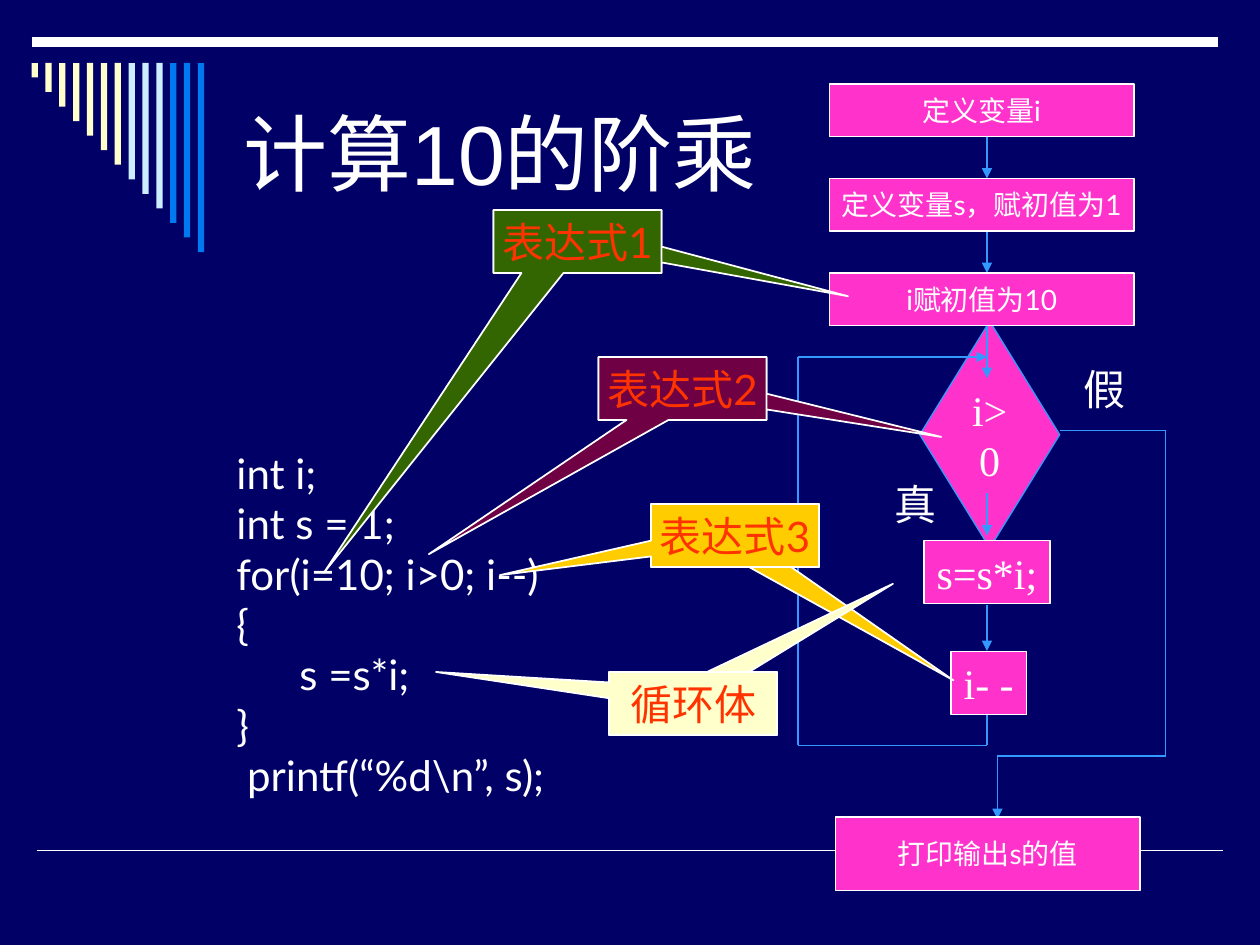
"""Build the slide that explains the factorial loop with a flowchart."""
from dataclasses import dataclass

from lxml import etree
from pptx import Presentation
from pptx.dml.color import RGBColor
from pptx.enum.shapes import MSO_CONNECTOR, MSO_SHAPE
from pptx.enum.text import MSO_ANCHOR, PP_ALIGN
from pptx.oxml.ns import qn
from pptx.util import Pt

STRAIGHT = MSO_CONNECTOR.STRAIGHT
RECTANGLE = MSO_SHAPE.RECTANGLE
PROCESS = MSO_SHAPE.FLOWCHART_PROCESS
DECISION = MSO_SHAPE.FLOWCHART_DECISION
CALLOUT = MSO_SHAPE.RECTANGULAR_CALLOUT
TOP, MIDDLE = MSO_ANCHOR.TOP, MSO_ANCHOR.MIDDLE
LEFT, CENTER = PP_ALIGN.LEFT, PP_ALIGN.CENTER


@dataclass(frozen=True)
class Theme:
    background: str = "000066"
    white: str = "FFFFFF"
    pink: str = "FF33CC"
    flow: str = "3399FF"
    callout_text: str = "FF3300"
    green: str = "336600"
    plum: str = "6E0043"
    gold: str = "FFCC00"
    cream: str = "FFFFCC"
    pale_blue: str = "CCECFF"
    blue: str = "0078F0"
    title_font: str = "Arial"
    body_font: str = "Lato"
    serif_font: str = "Times New Roman"
    title_size: float = 48
    body_size: float = 24
    step_size: float = 16


THEME = Theme()


@dataclass(frozen=True)
class Box:
    left: float
    top: float
    width: float
    height: float


@dataclass(frozen=True)
class TextStyle:
    font: str
    size: float
    color: str = THEME.white
    align: PP_ALIGN = CENTER
    anchor: MSO_ANCHOR = MIDDLE
    wrap: bool = False


@dataclass(frozen=True)
class Node:
    text: str
    box: Box
    style: TextStyle
    kind: MSO_SHAPE = PROCESS
    line: str = THEME.white
    line_width: float = 1


@dataclass(frozen=True)
class Line:
    start: tuple[float, float]
    end: tuple[float, float]
    arrow: bool = False
    color: str = THEME.flow
    width: float = 0.75


@dataclass(frozen=True)
class Callout:
    text: str
    left: float
    top: float
    fill: str
    pointers: tuple[tuple[float, float], ...]


TITLE = TextStyle(THEME.title_font, THEME.title_size, align=LEFT, wrap=True)
CODE = TextStyle(THEME.body_font, THEME.body_size, align=LEFT, anchor=TOP)
STEP = TextStyle(THEME.body_font, THEME.step_size)
SERIF = TextStyle(THEME.serif_font, THEME.body_size)
SERIF_WRAPPED = TextStyle(THEME.serif_font, THEME.body_size, wrap=True)
CALLOUT_TEXT = TextStyle(THEME.body_font, THEME.body_size, THEME.callout_text)

STRIPE_COLORS = [THEME.cream] * 7 + [THEME.pale_blue] * 3 + [THEME.blue] * 3
STRIPE_LEFT, STRIPE_TOP, STRIPE_PITCH = 18, 36, 7.92
STRIPE_WIDTH, STRIPE_STEP = 3.6, 8.31

RULES = [
    Line((21, 486), (699, 486), color=THEME.white, width=1),
    Line((18, 24), (696, 24), color=THEME.white, width=6),
]

AXIS, LOOP_LEFT, EXIT_LEFT, EXIT_RIGHT = 564, 456, 570, 666
LOOP_TOP, LOOP_BOTTOM, EXIT_TOP, EXIT_BOTTOM = 204, 426, 246, 432
FLOW_LINES = [
    Line((AXIS, 78), (AXIS, 102), True),
    Line((AXIS, 132), (AXIS, 156), True),
    Line((AXIS, 168), (AXIS, 216), True),
    Line((AXIS, 282), (AXIS, 306), True),
    Line((AXIS, 345.6), (AXIS, 372), True),
    Line((AXIS, 408), (AXIS, LOOP_BOTTOM)),
    Line((LOOP_LEFT, LOOP_BOTTOM), (AXIS, LOOP_BOTTOM)),
    Line((LOOP_LEFT, LOOP_TOP), (LOOP_LEFT, LOOP_BOTTOM)),
    Line((LOOP_LEFT, LOOP_TOP), (AXIS, LOOP_TOP), True),
    Line((606, EXIT_TOP), (EXIT_RIGHT, EXIT_TOP)),
    Line((EXIT_RIGHT, EXIT_TOP), (EXIT_RIGHT, EXIT_BOTTOM)),
    Line((EXIT_LEFT, EXIT_BOTTOM), (EXIT_RIGHT, EXIT_BOTTOM)),
    Line((EXIT_LEFT, EXIT_BOTTOM), (EXIT_LEFT, 468), True),
]

CONDITION = Node("i>0", Box(525.6, 183.6, 80, 129.6), SERIF_WRAPPED, DECISION, THEME.flow, 0.75)
SETUP_STEPS = ["定义变量i", "定义变量s，赋初值为1", "i赋初值为10"]
STEPS = [
    Node(text, Box(474, 48 + 54 * index, 174, 30), STEP)
    for index, text in enumerate(SETUP_STEPS)
] + [
    Node("s=s*i;", Box(528, 309, 72, 36), SERIF, RECTANGLE, line_width=0.75),
    Node("i- -", Box(543.4, 372.4, 43.2, 36), SERIF, RECTANGLE, line_width=0.75),
    Node("打印输出s的值", Box(477.4, 466.8, 174, 42), STEP),
]

CODE_LINES = [
    "int i;",
    "int s = 1;",
    "for(i=10; i>0; i--)",
    "{",
    "\ts =s*i;",
    "}",
    " printf(“%d\\n”, s);",
]

CALLOUT_WIDTH, CALLOUT_HEIGHT = 96, 36
CALLOUTS = [
    Callout("表达式1", 282, 120, THEME.green, ((1.61, 0.87), (-1.51, 5.26))),
    Callout("表达式2", 342, 204, THEME.plum, ((1.54, 0.77), (-1.51, 2.63))),
    Callout("表达式3", 372, 288, THEME.gold, ((1.3, 2.3), (-1.4, 0.63))),
    Callout("循环体", 348, 384, THEME.cream, ((1.19, -1.9), (-1.53, -0.5))),
]


def write_text(shape, lines: list[str], style: TextStyle) -> None:
    frame = shape.text_frame
    frame.word_wrap = style.wrap
    frame.vertical_anchor = style.anchor
    for index, text in enumerate(lines):
        paragraph = frame.add_paragraph() if index else frame.paragraphs[0]
        paragraph.alignment = style.align
        run = paragraph.add_run()
        run.text = text
        run.font.name = style.font
        run.font.size = Pt(style.size)
        run.font.color.rgb = RGBColor.from_string(style.color)


def add_text(slide, box: Box, lines: list[str], style: TextStyle) -> None:
    shape = slide.shapes.add_textbox(Pt(box.left), Pt(box.top), Pt(box.width), Pt(box.height))
    write_text(shape, lines, style)


def add_filled(slide, kind: MSO_SHAPE, box: Box, fill: str, line: str = "", width: float = 1):
    shape = slide.shapes.add_shape(kind, Pt(box.left), Pt(box.top), Pt(box.width), Pt(box.height))
    shape.shadow.inherit = False
    shape.fill.solid()
    shape.fill.fore_color.rgb = RGBColor.from_string(fill)
    if line:
        shape.line.color.rgb = RGBColor.from_string(line)
        shape.line.width = Pt(width)
    else:
        shape.line.fill.background()
    return shape


def add_line(slide, line: Line) -> None:
    ends = [Pt(value) for value in line.start + line.end]
    connector = slide.shapes.add_connector(STRAIGHT, *ends)
    connector.line.color.rgb = RGBColor.from_string(line.color)
    connector.line.width = Pt(line.width)
    properties = connector._element.spPr
    if line.arrow:
        etree.SubElement(properties.find(qn("a:ln")), qn("a:tailEnd"), type="triangle")
    etree.SubElement(properties, qn("a:effectLst"))


def add_node(slide, node: Node) -> None:
    shape = add_filled(slide, node.kind, node.box, THEME.pink, node.line, node.line_width)
    write_text(shape, [node.text], node.style)


def add_callout(slide, callout: Callout) -> None:
    box = Box(callout.left, callout.top, CALLOUT_WIDTH, CALLOUT_HEIGHT)
    for pointer in callout.pointers:
        shape = add_filled(slide, CALLOUT, box, callout.fill, THEME.white)
        shape.adjustments[0], shape.adjustments[1] = pointer
        write_text(shape, [callout.text], CALLOUT_TEXT)


def add_stripes(slide) -> None:
    for index, color in enumerate(STRIPE_COLORS):
        left = STRIPE_LEFT + STRIPE_PITCH * index
        box = Box(left, STRIPE_TOP, STRIPE_WIDTH, STRIPE_STEP * (index + 1))
        add_filled(slide, RECTANGLE, box, color)


def main() -> None:
    presentation = Presentation()
    presentation.slide_width, presentation.slide_height = Pt(720), Pt(540)
    slide = presentation.slides.add_slide(presentation.slide_layouts[6])
    slide.background.fill.solid()
    slide.background.fill.fore_color.rgb = RGBColor.from_string(THEME.background)
    for rule in RULES:
        add_line(slide, rule)
    add_stripes(slide)
    add_text(slide, Box(132, 36, 552, 102), ["计算10的阶乘"], TITLE)
    add_node(slide, CONDITION)
    for line in FLOW_LINES:
        add_line(slide, line)
    add_text(slide, Box(612, 204, 38, 36), ["假"], SERIF)
    add_text(slide, Box(504, 270, 38, 36), ["真"], SERIF)
    add_text(slide, Box(128, 252, 204, 209), CODE_LINES, CODE)
    for node in STEPS:
        add_node(slide, node)
    for callout in CALLOUTS:
        add_callout(slide, callout)
    presentation.save("out.pptx")


if __name__ == "__main__":
    main()
